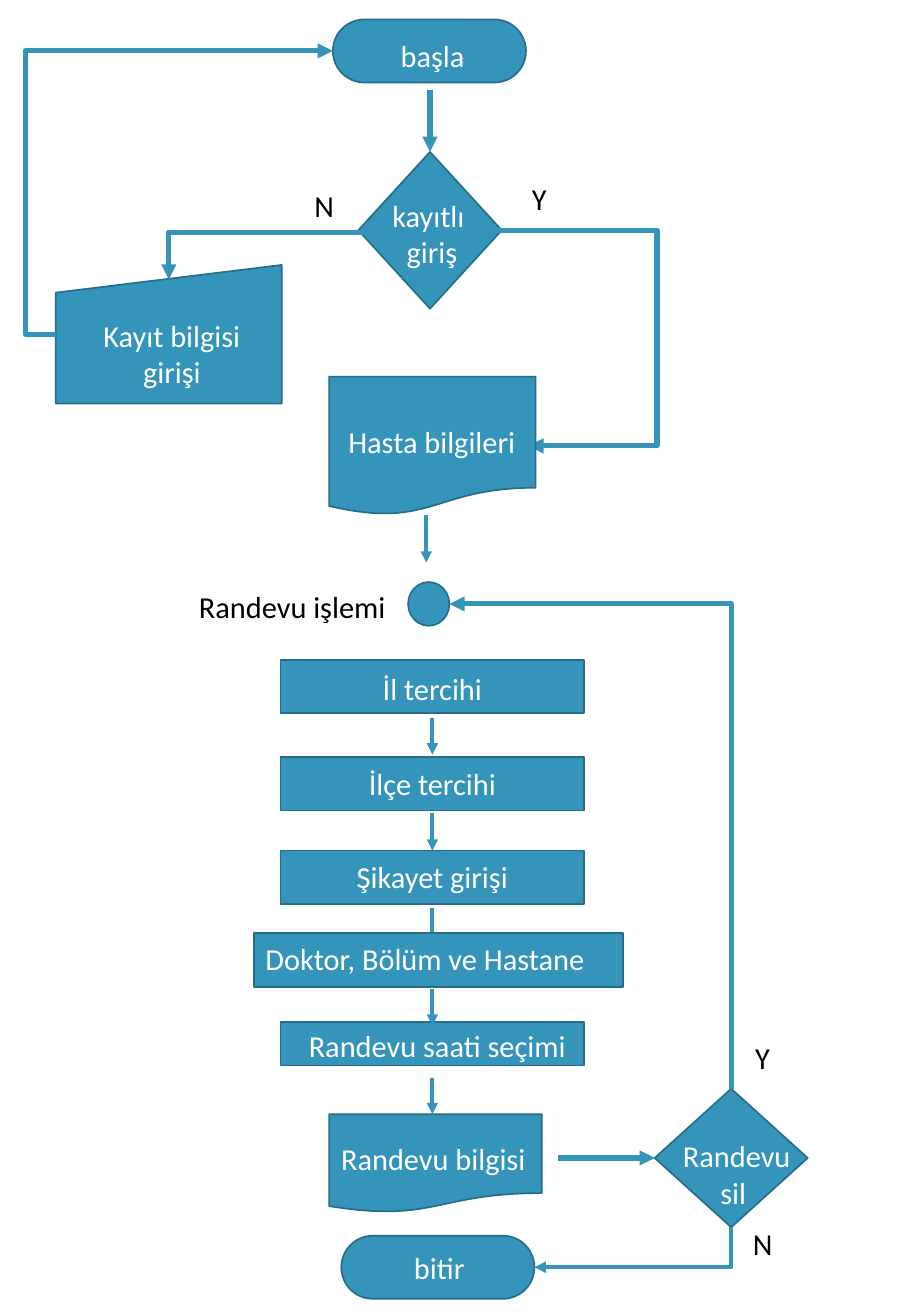
from lxml import etree
from pptx import Presentation
from pptx.dml.color import RGBColor
from pptx.enum.shapes import MSO_CONNECTOR, MSO_SHAPE
from pptx.enum.text import PP_ALIGN
from pptx.oxml.ns import qn
from pptx.util import Pt

STRAIGHT, ELBOW = MSO_CONNECTOR.STRAIGHT, MSO_CONNECTOR.ELBOW
RECTANGLE, DIAMOND, OVAL = MSO_SHAPE.RECTANGLE, MSO_SHAPE.DIAMOND, MSO_SHAPE.OVAL
TERMINAL = MSO_SHAPE.ROUNDED_RECTANGLE
DOCUMENT = MSO_SHAPE.FLOWCHART_DOCUMENT
MANUAL_INPUT = MSO_SHAPE.FLOWCHART_MANUAL_INPUT
LEFT, CENTER = PP_ALIGN.LEFT, PP_ALIGN.CENTER
TOP_SITE, LEFT_SITE = 0, 1

BLUE = RGBColor(0x34, 0x94, 0xBA)
DARK_BLUE = RGBColor(0x26, 0x6D, 0x8A)
WHITE = RGBColor(0xFF, 0xFF, 0xFF)
BLACK = RGBColor(0, 0, 0)

FONT, FONT_SIZE = "Calibri", 18
THICK, THIN = 3, 2.25
STEP_X = 256.3  # centre line of the appointment steps
ARROW_LENGTH = 21.6

# name: (kind, left, top, width, height)
BACK_SHAPES = {
    "start": (TERMINAL, 197.3, 11.5, 114.5, 37.4),
    "registered": (DIAMOND, 212.4, 90, 85, 92.9),
    "registration": (MANUAL_INPUT, 33.1, 157, 133.9, 82.1),
    "junction": (OVAL, 241.9, 344.9, 24.5, 25.9),
    "province": (RECTANGLE, 166.3, 391, 180, 31.7),
    "district": (RECTANGLE, 166.3, 448.6, 180, 31.7),
    "complaint": (RECTANGLE, 166.3, 504, 180, 31.7),
    "time": (RECTANGLE, 166.3, 605.5, 180, 25.9),
    "appointment": (DOCUMENT, 195.1, 660.2, 126, 58.3),
    "delete": (DIAMOND, 388.1, 645.1, 90.7, 82.1),
    "end": (TERMINAL, 202.3, 732.2, 114.5, 37.4),
}
# These cover the arrowheads that run under them
FRONT_SHAPES = {
    "patient": (DOCUMENT, 195.1, 223.2, 122.4, 82.1),
    "doctor": (RECTANGLE, 150.5, 553, 218.9, 31.7),
}

# start, end, line width, joined shape and site
STRAIGHT_ARROWS = [
    ((254.9, 53.3), (254.9, 90), THICK, ("registered", TOP_SITE)),
    ((330.5, 686.15), (388.1, 686.15), THICK, ("delete", LEFT_SITE)),
    ((252.7, 305.3), (252.7, 333.4), THIN, None),
] + [
    ((STEP_X, top), (STEP_X, top + ARROW_LENGTH), THIN, joined)
    for top, joined in [
        (425.5, None),
        (481.7, ("complaint", TOP_SITE)),
        (537.8, None),
        (586.1, None),
        (638.6, None),
    ]
]

# start, corners, end, line width
BENT_ARROWS = [
    ((223.2, 137.5), [(100.1, 137.5)], (100.1, 165.6), THICK),
    ((293.8, 136.4), [(389.5, 136.4), (389.5, 264.2)], (313.2, 264.2), THICK),
    ((33.1, 198), [(15.1, 198), (15.1, 30.2)], (197.3, 30.2), THICK),
    ((433.45, 645.1), [(433.45, 357.9)], (266.4, 357.9), THICK),
    ((433.45, 727.2), [(433.45, 750.9)], (316.8, 750.9), THIN),
]

# text, left, top, width, colour, alignment
LABELS = [
    ("başla", 230.4, 18.7, 55.4, WHITE, LEFT),
    ("kayıtlı \ngiriş", 182.2, 113, 147.6, WHITE, CENTER),
    ("Y", 308.2, 103, 67, BLACK, LEFT),
    ("N", 179.3, 107.3, 67, BLACK, LEFT),
    ("Kayıt bilgisi\ngirişi", 53.3, 184.3, 97.2, WHITE, CENTER),
    ("Hasta bilgileri", 199.4, 247, 129.6, WHITE, LEFT),
    ("Randevu işlemi", 110.9, 344.9, 151.2, BLACK, LEFT),
    ("İl tercihi", 191.5, 393.8, 129.6, WHITE, CENTER),
    ("İlçe tercihi", 191.5, 450, 129.6, WHITE, CENTER),
    ("Şikayet girişi", 191.5, 504.7, 129.6, WHITE, CENTER),
    ("Doktor, Bölüm ve Hastane", 123.8, 553.7, 256.3, WHITE, CENTER),
    ("Randevu saati seçimi", 169.2, 604.8, 180, WHITE, CENTER),
    ("Randevu bilgisi", 195.1, 671.8, 135.4, WHITE, LEFT),
    ("Randevu\nsil ", 393.1, 670.3, 87.1, WHITE, CENTER),
    ("Y", 440.6, 612, 67, BLACK, LEFT),
    ("N", 439.2, 722.2, 67, BLACK, LEFT),
    ("bitir", 238.3, 736.6, 135.4, WHITE, LEFT),
]


def add_box(slide, kind, *frame):
    shape = slide.shapes.add_shape(kind, *map(Pt, frame))
    shape.shadow.inherit = False
    shape.fill.solid()
    shape.fill.fore_color.rgb = BLUE
    shape.line.color.rgb = DARK_BLUE
    shape.line.width = Pt(1)
    if kind == TERMINAL:
        shape.adjustments[0] = 0.5
    return shape


def add_arrow(slide, kind, start, end, width):
    connector = slide.shapes.add_connector(kind, *map(Pt, start + end))
    connector.line.color.rgb = BLUE
    connector.line.width = Pt(width)
    line = connector.line._get_or_add_ln()
    etree.SubElement(line, qn("a:tailEnd"), type="triangle")
    etree.SubElement(connector._element.spPr, qn("a:effectLst"))
    return connector


def add_bent_arrow(slide, start, corners, end, width):
    """One corner makes a bentConnector2, two corners a bentConnector3."""
    (x1, y1), (x2, y2) = start, end
    corner_x = corners[0][0]
    turn = 0
    if corner_x == x1:
        # The preset starts sideways, so a vertical start needs a quarter turn
        turn = 90 if y2 > y1 else 270
        flipped = (x2 > x1) == (y2 > y1)
        center_x, center_y = (x1 + x2) / 2, (y1 + y2) / 2
        half_width, half_height = abs(y2 - y1) / 2, abs(x2 - x1) / 2
        if flipped:
            half_height = -half_height
        start = (center_x - half_width, center_y - half_height)
        end = (center_x + half_width, center_y + half_height)
    connector = add_arrow(slide, ELBOW, start, end, width)
    properties = connector._element.spPr
    if turn:
        properties.find(qn("a:xfrm")).set("rot", str(turn * 60000))
    geometry = properties.find(qn("a:prstGeom"))
    if len(corners) == 1:
        geometry.set("prst", "bentConnector2")
    else:
        bend = round((corner_x - x1) / (x2 - x1) * 100000)
        guides = geometry.find(qn("a:avLst"))
        if guides is None:
            guides = etree.SubElement(geometry, qn("a:avLst"))
        etree.SubElement(guides, qn("a:gd"), name="adj1", fmla=f"val {bend}")


def add_label(slide, text, left, top, width, color, alignment):
    height = 29 + 22 * text.count("\n")
    text_box = slide.shapes.add_textbox(*map(Pt, (left, top, width, height)))
    text_frame = text_box.text_frame
    text_frame.word_wrap = True
    text_frame.text = text
    for paragraph in text_frame.paragraphs:
        paragraph.alignment = alignment
        for run in paragraph.runs:
            run.font.name = FONT
            run.font.size = Pt(FONT_SIZE)
            run.font.color.rgb = color


def main():
    presentation = Presentation()
    presentation.slide_width, presentation.slide_height = Pt(540), Pt(779.76)
    slide = presentation.slides.add_slide(presentation.slide_layouts[6])

    boxes = {name: add_box(slide, *box) for name, box in BACK_SHAPES.items()}
    for start, end, width, joined in STRAIGHT_ARROWS:
        connector = add_arrow(slide, STRAIGHT, start, end, width)
        if joined:
            name, site = joined
            connector.end_connect(boxes[name], site)
    for arrow in BENT_ARROWS:
        add_bent_arrow(slide, *arrow)
    for box in FRONT_SHAPES.values():
        add_box(slide, *box)
    for label in LABELS:
        add_label(slide, *label)

    presentation.save("out.pptx")


if __name__ == "__main__":
    main()
